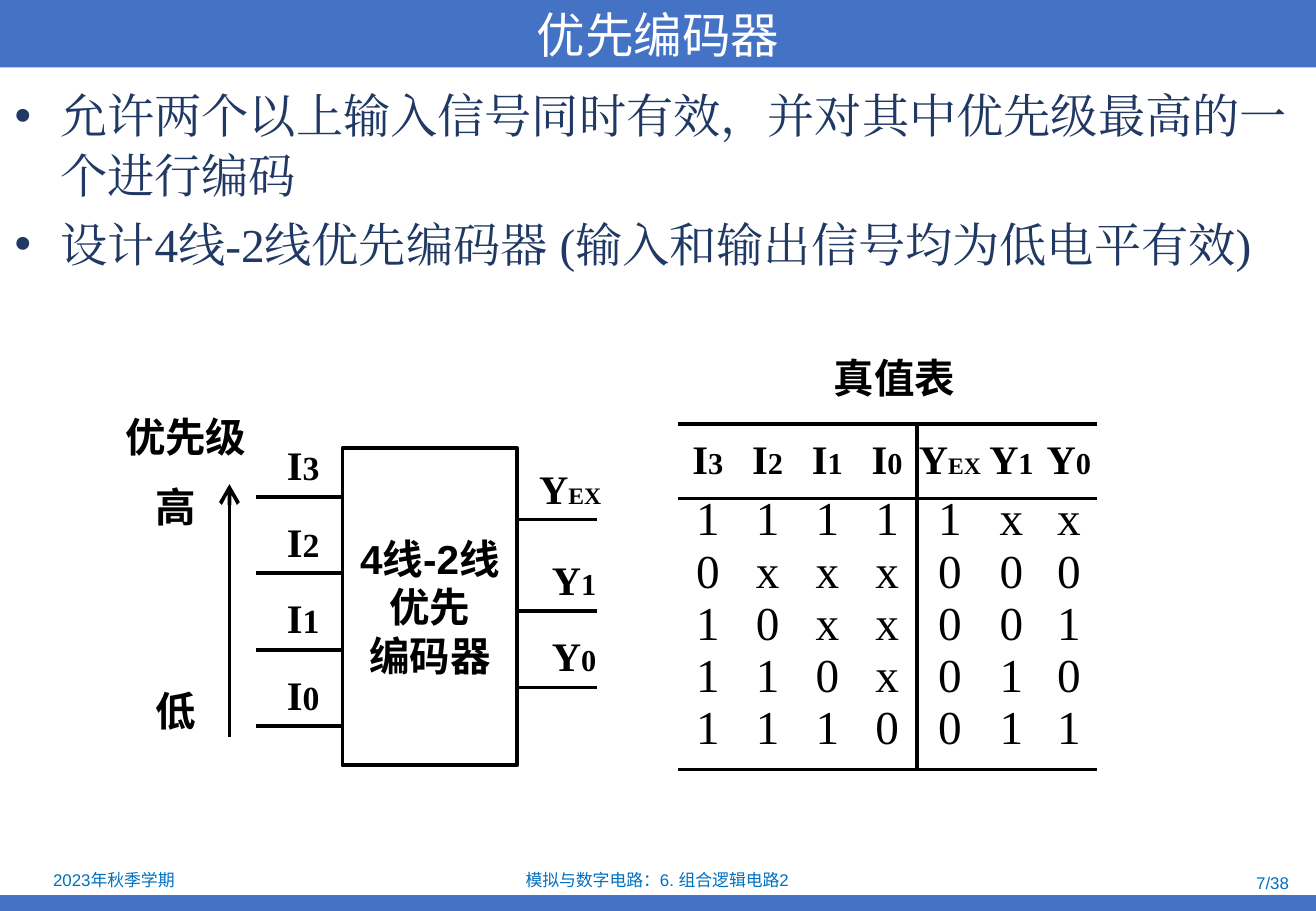
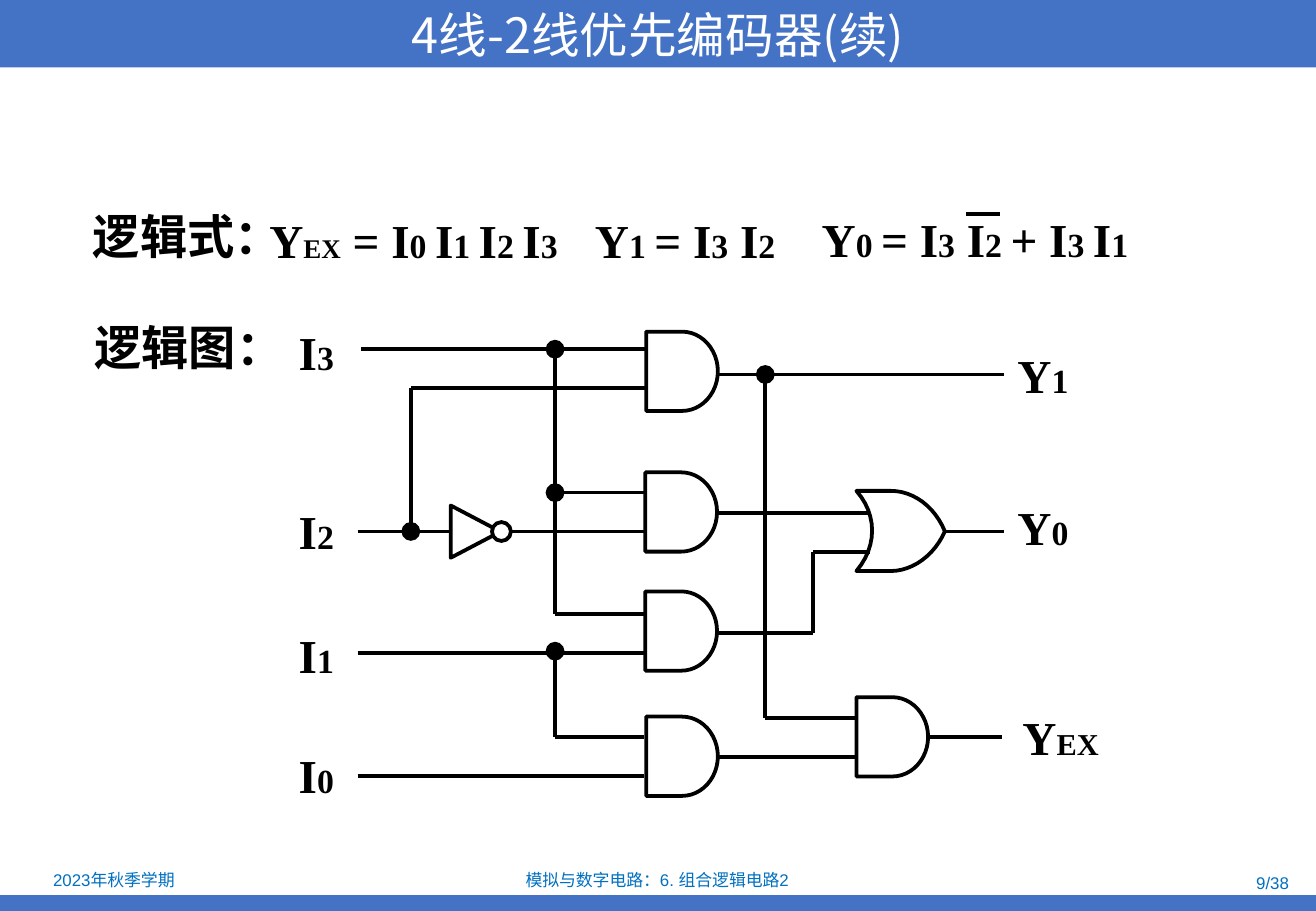
"""Build two slides on the 4-to-2 line priority encoder."""
from lxml import etree
from pptx import Presentation
from pptx.dml.color import RGBColor
from pptx.enum import shapes, text
from pptx.oxml.ns import qn
from pptx.util import Pt

HUES = {"band": "4472C4", "foot": "0070C0", "body": "203864", "ink": "000000", "white": "FFFFFF"}
SANS, SERIF, HEAD = "Arial", "Times New Roman", "Noto Sans CJK SC"
WIDE, HIGH, LINE = 780, 540, 2.25
LEFT, MID, RIGHT = text.PP_ALIGN.LEFT, text.PP_ALIGN.CENTER, text.PP_ALIGN.RIGHT
TOP, CORE = text.MSO_ANCHOR.TOP, text.MSO_ANCHOR.MIDDLE
FORM = shapes.MSO_SHAPE

TITLES = ["优先编码器", "4线-2线优先编码器(续)"]
PAGES = ["7/38", "9/38"]
FEET = [("2023年秋季学期", (1, 513, 133, 17), MID),
        ("模拟与数字电路：6. 组合逻辑电路2", (266, 514, 247, 15), MID)]
PAGE_BOX = (589, 516, 182, 15)

POINTS = ["允许两个以上输入信号同时有效，并对其中优先级最高的一个进行编码",
          "设计4线-2线优先编码器 (输入和输出信号均为低电平有效)"]
BLOCK = ["4线-2线", "优先", "编码器"]
BLOCK_BOX = (203, 265.7, 103.5, 188)
INPUTS = ["I|3", "I|2", "I|1", "I|0"]
OUTPUTS = [("Y|EX", 312.5, 308), ("Y|1", 320, 362), ("Y|0", 320, 407.5)]
NOTES = [("真值表", 487, 206), ("优先级", 67, 240.5), ("高", 85, 282), ("低", 85, 403)]
TRUTH = [INPUTS + ["Y|EX", "Y|1", "Y|0"],
         "11111xx", "0xxx000", "10xx001", "110x010", "1110011"]
COLS = [35.45] * 4 + [39, 34, 34]
ROWS = [44, 31, 31, 31, 31, 37]

HEADS = [("逻辑式：", 48, 119.5), ("逻辑图：", 49, 185)]
SUMS = [("Y|EX| = I|0 |I|1 |I|2 |I|3", 152.6, 121.7, 195),
        ("Y|1 |= I|3| I|2", 345.6, 121.7, 125),
        ("Y|0 |= I|3| I|2 |+ I|3 |I|1", 480, 121, 210)]
PINS = [("I|3", 170, 188), ("I|2", 170, 294.5), ("I|1", 170, 368), ("I|0", 170, 439),
        ("Y|1", 596, 201.6), ("Y|0", 596, 292), ("Y|EX", 599, 416)]
GATES = [(383, 196.6), (382.5, 280), (382.5, 350.6), (383, 424.8), (507.6, 413.3)]
WIRES = [[(214, 207), (383, 207)], [(212, 315), (382, 315)],
         [(212, 387), (383, 387)], [(212, 460), (382, 460)],
         [(425, 222), (595, 222)], [(425, 304), (515.5, 304)],
         [(425, 375), (482, 375), (482, 327), (515.5, 327)],
         [(425, 448.5), (508, 448.5)], [(560, 315), (595, 315)],
         [(551, 437), (594, 437)], [(572.4, 126.7), (592.6, 126.7)]]
TAPS = [[(243.5, 315), (243.5, 230), (383, 230)], [(329, 207), (329, 364), (382, 364)],
        [(329, 292), (382, 292)], [(329, 386), (329, 437), (382, 437)],
        [(453.6, 222), (453.6, 425.5), (508, 425.5)]]
CURVES = [[(528, 291), (541, 291), (554, 300), (560, 315)],
          [(560, 315), (554, 329), (541, 338.5), (528, 338.5)],
          [(507.6, 338.5), (520, 324), (520, 305), (507.6, 291)]]


def tint(name):
    return RGBColor.from_string(HUES[name])


def pts(box):
    return [Pt(n) for n in box]


def write(para, words, size, hue="ink", face=SERIF, sub=20, tail=14, **form):
    """Write words; every second part between bars is a subscript."""
    for n, part in enumerate(words.split("|")):
        run = para.add_run()
        run.text = part
        small = tail if part == "EX" else sub
        look = {"name": face, "size": Pt(small if n % 2 else size), **form}
        for key, val in look.items():
            setattr(run.font, key, val)
        run.font.color.rgb = tint(hue)
        mark = etree.SubElement(run._r.get_or_add_rPr(), qn("a:ea"))
        mark.set("typeface", face)


def frame(shape, **form):
    look = {"word_wrap": True, "auto_size": text.MSO_AUTO_SIZE.NONE, **form}
    for key, val in look.items():
        setattr(shape.text_frame, key, val)
    return shape.text_frame.paragraphs[0]


def label(slide, words, box, size, align=LEFT, fit=None, **form):
    para = frame(slide.shapes.add_textbox(*pts(box)), **(fit or {}))
    para.alignment = align
    write(para, words, size, **form)


def place(shape, box):
    for key, val in zip(("left", "top", "width", "height"), pts(box)):
        setattr(shape, key, val)


def paint(shape, fill=None, line="ink"):
    shape.shadow.inherit = False
    if fill:
        shape.fill.solid()
        shape.fill.fore_color.rgb = tint(fill)
    else:
        shape.fill.background()
    if line:
        shape.line.color.rgb = tint(line)
        shape.line.width = Pt(LINE)
    else:
        shape.line.fill.background()


def draw(slide, kind, box, **look):
    shape = slide.shapes.add_shape(kind, *pts(box))
    paint(shape, **look)
    return shape


def wire(slide, path, head=None, tail=None):
    """Join the points of a path; head and tail mark its two ends."""
    last = len(path) - 2
    for n, (start, end) in enumerate(zip(path, path[1:])):
        line = slide.shapes.add_connector(shapes.MSO_CONNECTOR.STRAIGHT, *pts(start + end))
        line.line.color.rgb = tint("ink")
        line.line.width = Pt(LINE)
        etree.SubElement(line._element.spPr, qn("a:effectLst"))
        ends = (("a:headEnd", head if n == 0 else None),
                ("a:tailEnd", tail if n == last else None))
        for tag, kind in ends:
            if kind:
                mark = etree.SubElement(line.line._get_or_add_ln(), qn(tag))
                for key, val in {"type": kind, "w": "lg", "len": "lg"}.items():
                    mark.set(key, val)


def start(deck, index, layout):
    """Add a slide with its title band, foot band and footers."""
    slide = deck.slides.add_slide(deck.slide_layouts[layout])
    draw(slide, FORM.RECTANGLE, (0, 530.6, WIDE, 9.4), fill="band", line=None)
    title = slide.shapes.title
    place(title, (0, 0, WIDE, 40))
    title.fill.solid()
    title.fill.fore_color.rgb = tint("band")
    para = frame(title, vertical_anchor=CORE, margin_top=0, margin_bottom=0)
    para.alignment = MID
    write(para, TITLES[index], 28.8, "white", HEAD)
    fit = {"vertical_anchor": CORE, "margin_top": 0, "margin_bottom": 0}
    for words, box, align in FEET + [(PAGES[index], PAGE_BOX, RIGHT)]:
        label(slide, words, box, 10, align, fit, hue="foot", face=SANS)
    return slide


def edge(cell, sides):
    cell.fill.background()
    props = cell._tc.get_or_add_tcPr()
    for n, (tag, shown) in enumerate(sides):
        line = etree.Element(qn(tag), w=str(Pt(LINE)))
        fill = etree.SubElement(line, qn("a:solidFill" if shown else "a:noFill"))
        if shown:
            etree.SubElement(fill, qn("a:srgbClr"), val=HUES["ink"])
        props.insert(n, line)


def truth(slide):
    box = (401.8, 251.3, sum(COLS), sum(ROWS))
    grid = slide.shapes.add_table(len(ROWS), len(COLS), *pts(box)).table
    grid.first_row = grid.horz_banding = False
    for col, wide in zip(grid.columns, COLS):
        col.width = Pt(wide)
    for r, (row, high) in enumerate(zip(TRUTH, ROWS)):
        grid.rows[r].height = Pt(high)
        for c, words in enumerate(row):
            cell = grid.cell(r, c)
            for side in ("left", "right", "top", "bottom"):
                setattr(cell, "margin_" + side, 0)
            cell.vertical_anchor = TOP if r else CORE
            para = cell.text_frame.paragraphs[0]
            para.alignment = MID
            para.line_spacing = 0.9 if r else 1.0
            write(para, words, 28 if r else 24, sub=18, bold=not r)
            edge(cell, [("a:lnL", c == 4), ("a:lnR", c == 3),
                        ("a:lnT", r < 2), ("a:lnB", r in (0, len(ROWS) - 1))])


def coder(deck):
    slide = start(deck, 0, 1)
    body = slide.placeholders[1]
    place(body, (1.5, 46, 778, 468))
    para = frame(body)
    for n, words in enumerate(POINTS):
        para = body.text_frame.add_paragraph() if n else para
        para.space_before = Pt(5.6 * n)
        para.line_spacing = 1.05
        write(para, words, 28, "body")

    block = draw(slide, FORM.RECTANGLE, BLOCK_BOX)
    para = frame(block, word_wrap=False, vertical_anchor=CORE)
    for n, words in enumerate(BLOCK):
        para = block.text_frame.add_paragraph() if n else para
        para.alignment = MID
        write(para, words, 24, face=SANS, bold=True)
    for n, words in enumerate(INPUTS):
        y = 294.5 + 45.36 * n
        wire(slide, [(152, y), (203, y)])
        label(slide, words, (163, y - 37, 40, 36), 24, bold=True)
    for words, x, y in OUTPUTS:
        wire(slide, [(306, y), (354, y)])
        label(slide, words, (x, y - 36.7, 56, 36), 24, sub=18, bold=True)
    for words, x, y in NOTES:
        label(slide, words, (x, y, 24 * len(words) + 18, 36), 24, face=SANS, bold=True)
    wire(slide, [(136, 437), (136, 287)], tail="arrow")
    truth(slide)


def bend(a, b, c, d, steps=12):
    """Return points along a cubic curve."""
    for n in range(steps + 1):
        t = n / steps
        s = 1 - t
        yield tuple(s**3 * i + 3 * s * s * t * j + 3 * s * t * t * k + t**3 * m
                    for i, j, k, m in zip(a, b, c, d))


def logic(deck):
    slide = start(deck, 1, 5)
    for words, x, y in HEADS:
        label(slide, words, (x, y, 130, 41), 28, face=SANS, bold=True)
    for words, x, y, wide in SUMS:
        label(slide, words, (x, y, wide, 41), 28, tail=16, bold=True)
    for words, x, y in PINS:
        label(slide, words, (x, y, 66, 41), 28, tail=18, bold=True)
    for path in WIRES:
        wire(slide, path)
    for path in TAPS:
        wire(slide, path, head="oval")
    for x, y in GATES:
        draw(slide, FORM.FLOWCHART_DELAY, (x, y, 42.5, 47))
    cone = draw(slide, FORM.ISOSCELES_TRIANGLE, (266.4, 300.4, 31, 29.5), fill="white")
    cone.rotation = 90
    draw(slide, FORM.OVAL, (291.6, 309.5, 11.2, 11.2), fill="white")
    path = [pts(spot) for curve in CURVES for spot in bend(*curve)]
    pen = slide.shapes.build_freeform(*path[0])
    pen.add_line_segments(path[1:], close=True)
    paint(pen.convert_to_shape())


def main():
    deck = Presentation()
    deck.slide_width, deck.slide_height = Pt(WIDE), Pt(HIGH)
    coder(deck)
    logic(deck)
    deck.save("out.pptx")


if __name__ == "__main__":
    main()
